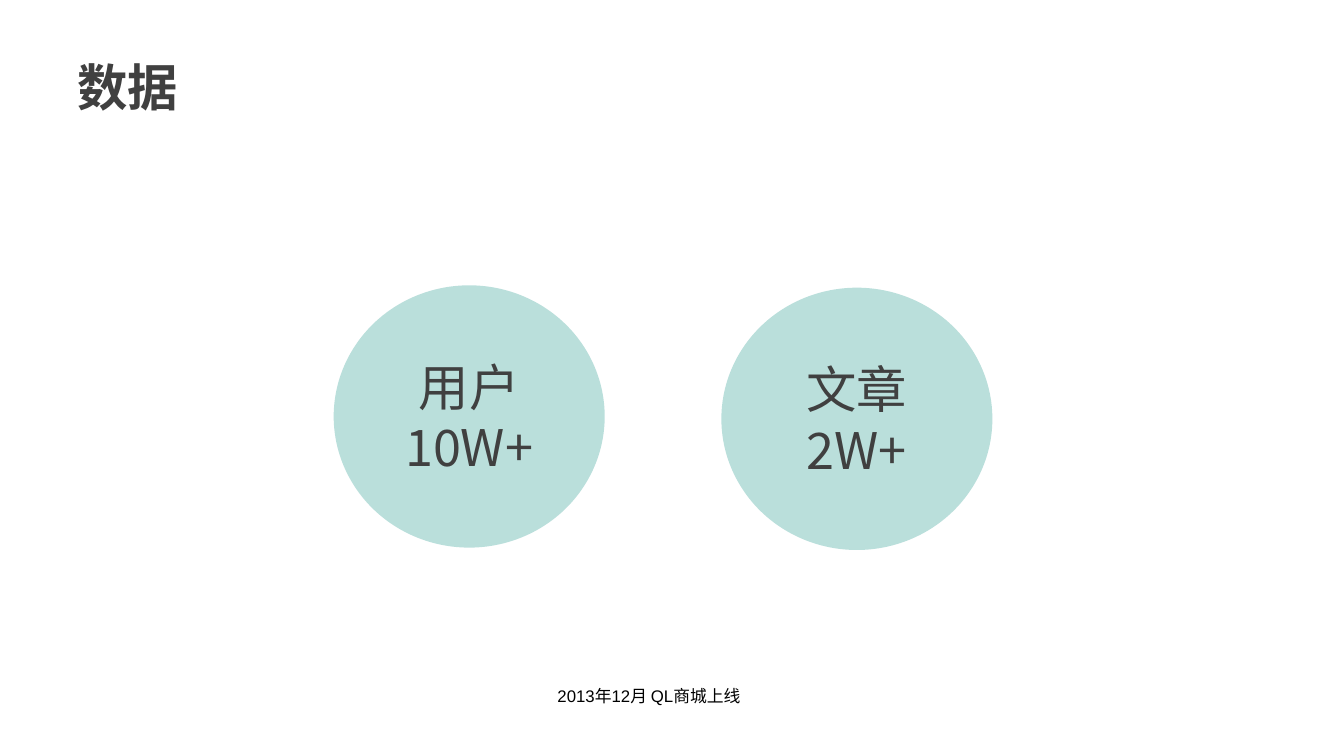
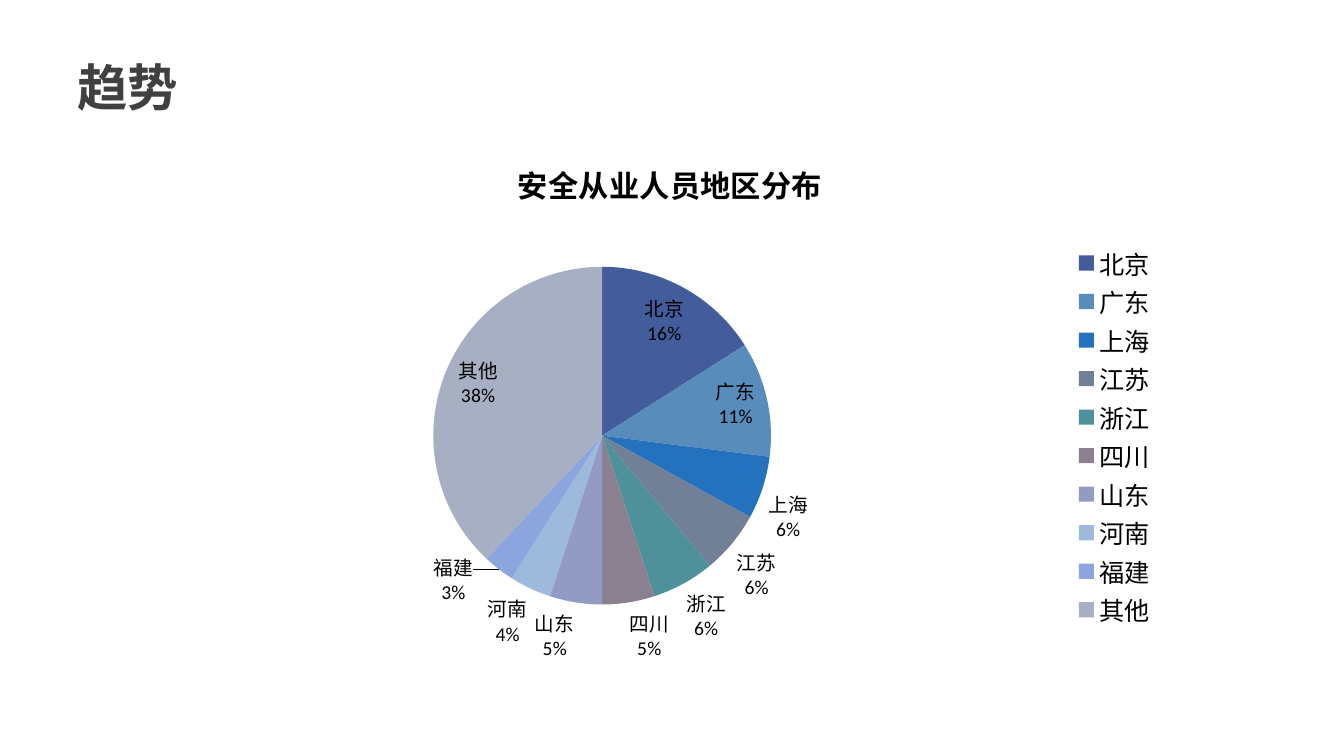
from dataclasses import dataclass

import lxml.etree
import pptx
import pptx.chart.data
import pptx.dml.color
import pptx.enum.chart
import pptx.enum.shapes
import pptx.enum.text
import pptx.oxml
import pptx.oxml.ns
import pptx.util

Cm = pptx.util.Cm
Pt = pptx.util.Pt
qualified = pptx.oxml.ns.qn

CHINESE_FONT = "Noto Sans CJK SC"
INK = "404040"
BLACK = "000000"
WHITE = "FFFFFF"
TEAL = "139185"
TEAL_OPACITY = 29
VEIL_OPACITY = 90


@dataclass
class Figure:
    label: str
    amount: str
    left: float
    top: float


@dataclass
class Region:
    name: str
    percent: int
    color: str


@dataclass
class Area:
    left: float
    top: float
    width: float
    height: float


PAGE_AREA = Area(0, 0, 33.87, 19.05)
CHART_AREA = Area(1.7, 3.45, 30.38, 13.59)
PIE_AREA = Area(9.22, 3.27, 8.51, 8.52)
LEGEND_AREA = Area(25.17, 2.67, 2.43, 9.76)

FIGURES = [
    Figure("用户", "10W+", 8.41, 7.19),
    Figure("文章", "2W+", 18.18, 7.25),
]
CIRCLE_WIDTH, CIRCLE_HEIGHT = 6.83, 6.61

REGIONS = [
    Region("北京", 16, "435C9C"),
    Region("广东", 11, "588CBB"),
    Region("上海", 6, "2472BE"),
    Region("江苏", 6, "717F97"),
    Region("浙江", 6, "4F919B"),
    Region("四川", 5, "8B808F"),
    Region("山东", 5, "929BC4"),
    Region("河南", 4, "9DB9DC"),
    Region("福建", 3, "8BA6DF"),
    Region("其他", 38, "A7B0C2"),
]


def rgb(color: str) -> pptx.dml.color.RGBColor:
    return pptx.dml.color.RGBColor.from_string(color)


def in_cm(area: Area) -> list:
    return [Cm(length) for length in (area.left, area.top, area.width, area.height)]


def write_text(frame, text: str, *, size: float, color: str, font: str = CHINESE_FONT,
               bold: bool = False, align=pptx.enum.text.PP_ALIGN.LEFT,
               anchor=pptx.enum.text.MSO_ANCHOR.TOP, line_spacing: float = 1.0) -> None:
    frame.word_wrap = True
    frame.vertical_anchor = anchor
    for index, line in enumerate(text.split("\n")):
        para = frame.paragraphs[0] if index == 0 else frame.add_paragraph()
        para.alignment = align
        para.line_spacing = line_spacing
        span = para.add_run()
        span.text = line
        span.font.size = Pt(size)
        span.font.bold = bold
        span.font.name = font
        span.font.color.rgb = rgb(color)
        east_asian = lxml.etree.SubElement(span.font._element, qualified("a:ea"))
        east_asian.set("typeface", CHINESE_FONT)


def add_tinted_shape(page, preset, area: Area, color: str, opacity: int):
    shape = page.shapes.add_shape(preset, *in_cm(area))
    shape.shadow.inherit = False
    shape.line.fill.background()
    shape.fill.solid()
    shape.fill.fore_color.rgb = rgb(color)
    fill_color = shape._element.spPr.find(".//" + qualified("a:srgbClr"))
    alpha = lxml.etree.SubElement(fill_color, qualified("a:alpha"))
    alpha.set("val", str(opacity * 1000))
    return shape


def add_page(deck, title: str):
    page = deck.slides.add_slide(deck.slide_layouts[6])
    add_tinted_shape(page, pptx.enum.shapes.MSO_SHAPE.RECTANGLE, PAGE_AREA, WHITE, VEIL_OPACITY)
    box = page.shapes.add_textbox(*in_cm(Area(1.7, 0.87, 30.38, 2.21)))
    write_text(box.text_frame, title, size=36, color=INK, bold=True,
               anchor=pptx.enum.text.MSO_ANCHOR.BOTTOM, line_spacing=0.9)
    return page


def add_circle(page, figure: Figure) -> None:
    area = Area(figure.left, figure.top, CIRCLE_WIDTH, CIRCLE_HEIGHT)
    circle = add_tinted_shape(page, pptx.enum.shapes.MSO_SHAPE.OVAL, area, TEAL, TEAL_OPACITY)
    write_text(circle.text_frame, f"{figure.label}\n{figure.amount}", size=36, color=INK,
               align=pptx.enum.text.PP_ALIGN.CENTER,
               anchor=pptx.enum.text.MSO_ANCHOR.MIDDLE)


def place_in_chart(element, area: Area, position: int, inner: bool = False) -> None:
    for old_layout in element.findall(qualified("c:layout")):
        element.remove(old_layout)
    layout = lxml.etree.Element(qualified("c:layout"))
    manual = lxml.etree.SubElement(layout, qualified("c:manualLayout"))
    settings = [("layoutTarget", "inner")] if inner else []
    settings += [("xMode", "edge"), ("yMode", "edge"),
                 ("x", area.left / CHART_AREA.width), ("y", area.top / CHART_AREA.height),
                 ("w", area.width / CHART_AREA.width), ("h", area.height / CHART_AREA.height)]
    for name, value in settings:
        lxml.etree.SubElement(manual, qualified(f"c:{name}")).set("val", str(value))
    element.insert(position, layout)


def style_labels(plot) -> None:
    plot.has_data_labels = True
    labels = plot.data_labels
    labels.show_value = False
    labels.show_category_name = True
    labels.show_percentage = True
    labels.number_format = "0%"
    labels.number_format_is_linked = False
    labels.position = pptx.enum.chart.XL_LABEL_POSITION.BEST_FIT
    labels.font.size = Pt(14)
    labels.font.color.rgb = rgb(BLACK)
    separator = lxml.etree.Element(qualified("c:separator"))
    separator.text = "\n"
    labels._element.find(qualified("c:showBubbleSize")).addnext(separator)


def add_region_chart(page) -> None:
    data = pptx.chart.data.CategoryChartData()
    data.categories = [region.name for region in REGIONS]
    data.add_series("Series 1", [region.percent for region in REGIONS])
    chart = page.shapes.add_chart(
        pptx.enum.chart.XL_CHART_TYPE.PIE, *in_cm(CHART_AREA), data).chart
    chart.font.size = Pt(18)
    chart.font.name = "Calibri"
    chart.font.color.rgb = rgb(BLACK)

    chart.has_title = True
    write_text(chart.chart_title.text_frame, "安全从业人员地区分布", size=21.6, color=BLACK,
               font="Calibri", bold=True, align=pptx.enum.text.PP_ALIGN.CENTER)
    chart.has_legend = True
    chart.legend.position = pptx.enum.chart.XL_LEGEND_POSITION.RIGHT
    chart.legend.include_in_layout = False
    place_in_chart(chart.legend._element, LEGEND_AREA, 1)

    plot = chart.plots[0]
    plot.vary_by_categories = True
    place_in_chart(plot._element.getparent(), PIE_AREA, 0, inner=True)
    for index, region in enumerate(REGIONS):
        slice_fill = plot.series[0].points[index].format.fill
        slice_fill.solid()
        slice_fill.fore_color.rgb = rgb(region.color)
    style_labels(plot)


def main() -> None:
    deck = pptx.Presentation()
    deck.slide_width, deck.slide_height = Cm(PAGE_AREA.width), Cm(PAGE_AREA.height)

    data_page = add_page(deck, "数据")
    launch = data_page.shapes.add_textbox(*in_cm(Area(13.8, 17.15, 5.16, 0.76)))
    write_text(launch.text_frame, "2013年12月 QL商城上线", size=12, color=BLACK, font="Arial")
    for figure in FIGURES:
        add_circle(data_page, figure)

    add_region_chart(add_page(deck, "趋势"))
    deck.save("out.pptx")


if __name__ == "__main__":
    main()
